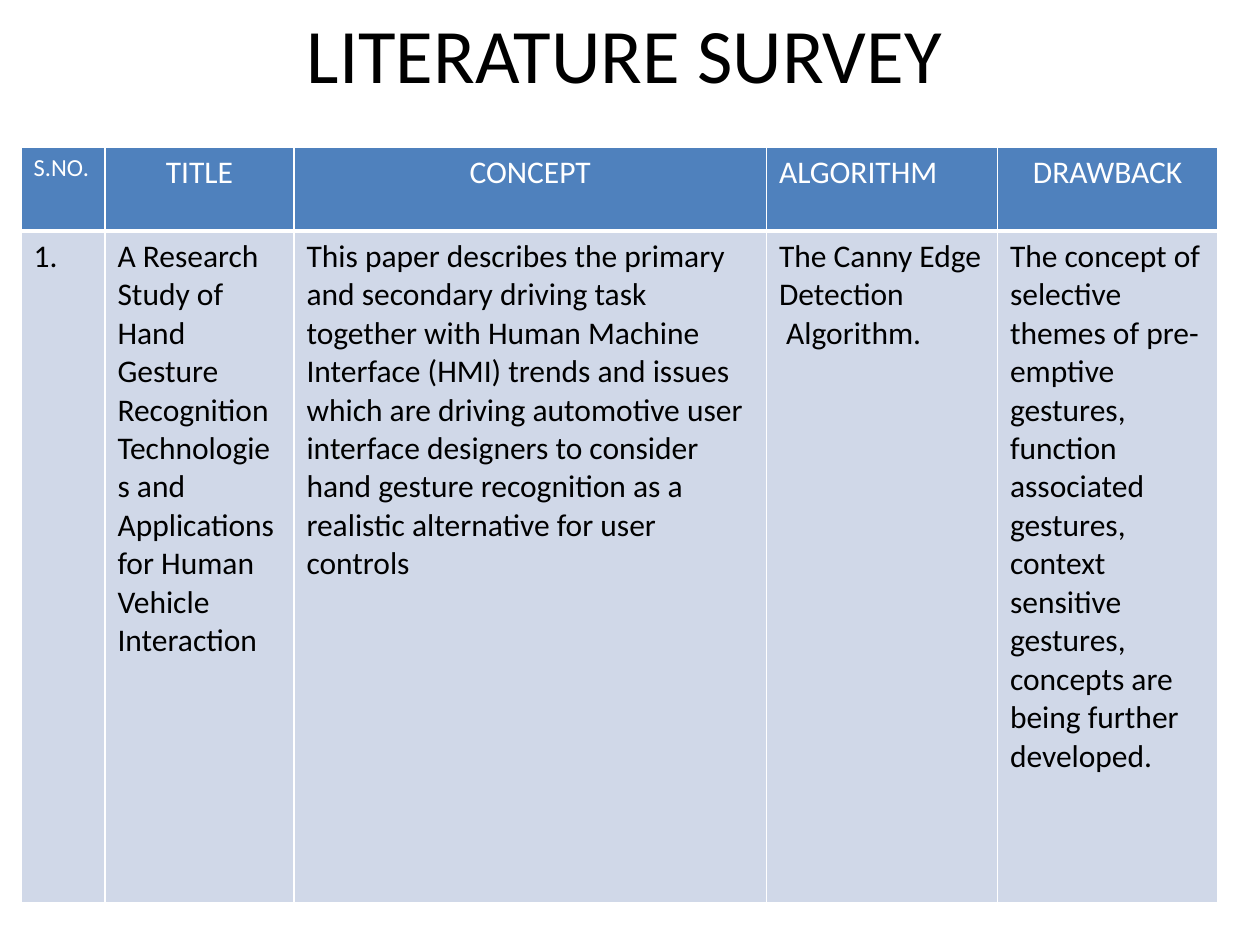
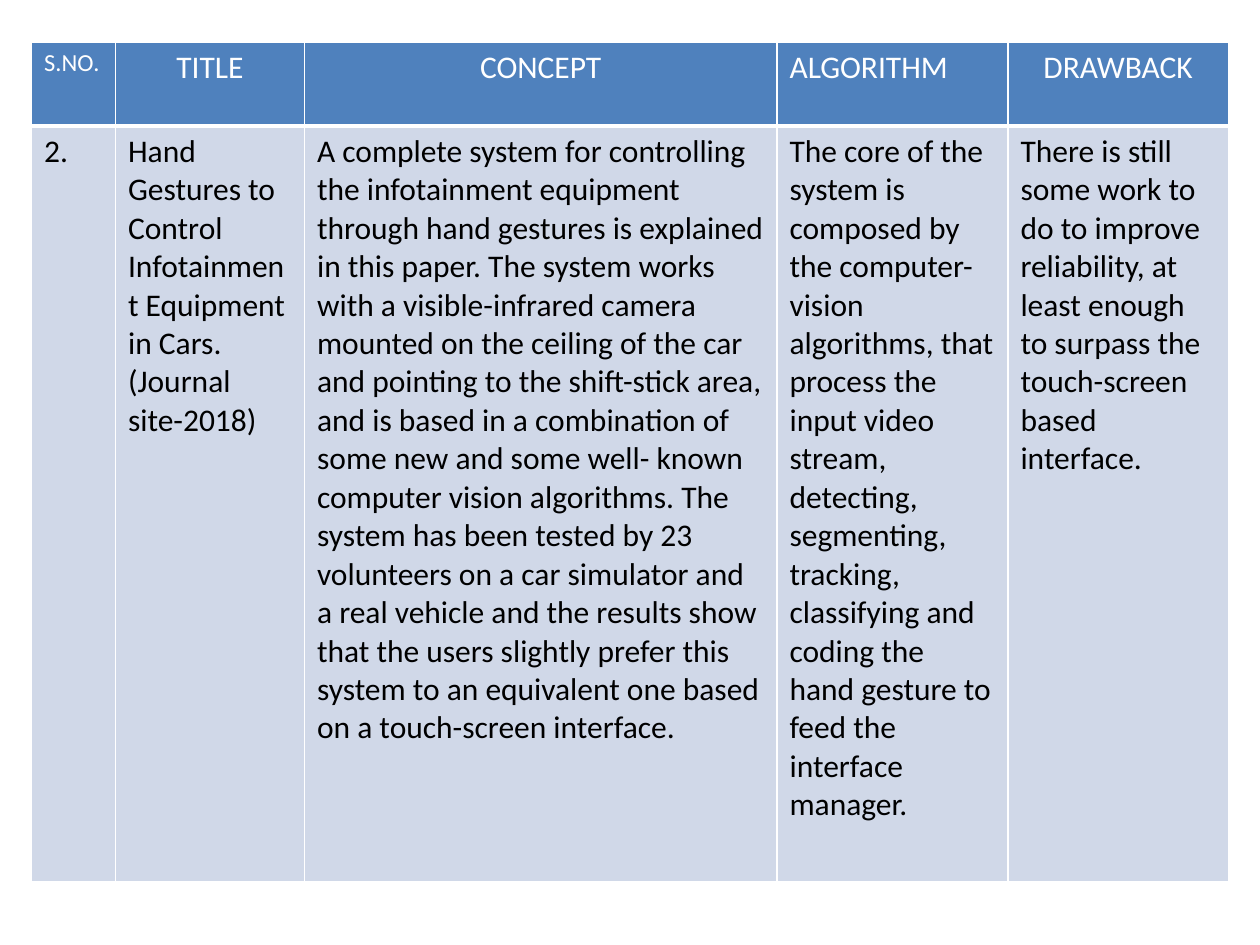
from lxml import etree
from pptx import Presentation
from pptx.dml.color import RGBColor
from pptx.enum.text import MSO_ANCHOR, MSO_AUTO_SIZE, PP_ALIGN
from pptx.oxml.ns import qn
from pptx.util import Inches, Pt

LEFT, CENTER = PP_ALIGN.LEFT, PP_ALIGN.CENTER
MIDDLE, GROW = MSO_ANCHOR.MIDDLE, MSO_AUTO_SIZE.SHAPE_TO_FIT_TEXT
TITLE_ONLY, BLANK = 5, 6
WHITE, BLACK, BLUE, PALE = "FFFFFF", "000000", "4F81BD", "D0D8E8"
COLUMNS = [("S.NO.", 8, 14, LEFT), ("TITLE", 18, 18, CENTER), ("CONCEPT", 45, 18, CENTER),
           ("ALGORITHM", 22, 18, LEFT), ("DRAWBACK", 21, 18, CENTER)]
HEADER_ROWS = 8

PAPER_1 = [
    "1.",
    "A Research Study of Hand Gesture Recognition Technologies and Applications "
    "for Human Vehicle Interaction",
    "This paper describes the primary and secondary driving task together with Human "
    "Machine Interface (HMI) trends and issues which are driving automotive user "
    "interface designers to consider hand gesture recognition as a realistic "
    "alternative for user controls",
    "The Canny Edge Detection\n Algorithm.",
    "The concept of selective themes of pre-emptive gestures, function associated "
    "gestures, context sensitive gestures, concepts are being further developed.",
]
PAPER_2 = [
    "2.",
    "Hand Gestures to Control Infotainment Equipment in Cars.\n(Journal site-2018)",
    "A complete system for controlling the infotainment equipment through hand gestures "
    "is explained in this paper. The system works with a visible-infrared camera mounted "
    "on the ceiling of the car and pointing to the shift-stick area, and is based in a "
    "combination of some new and some well- known computer vision algorithms. The system "
    "has been tested by 23 volunteers on a car simulator and a real vehicle and the "
    "results show that the users slightly prefer this system to an equivalent one based "
    "on a touch-screen interface.",
    "The core of the system is composed by the computer- vision algorithms, that process "
    "the input video stream, detecting, segmenting, tracking, classifying and coding the "
    "hand gesture to feed the interface manager.",
    "There is still some work to do to improve reliability, at least enough to surpass "
    "the touch-screen based interface.",
]


def rgb(value):
    """Turn a hex string into a colour."""
    return RGBColor.from_string(value)


def grid(units):
    """Turn grid units, twelve to the inch, into a length."""
    return Inches(units / 12)


class Deck:
    """Hold the shared style and the current slide."""

    font = "Calibri"

    def __init__(self):
        """Start an empty deck on a grid of 120 columns and 90 rows."""
        self.prs = Presentation()
        self.prs.slide_width, self.prs.slide_height = grid(120), grid(90)

    def slide(self, layout):
        """Add a slide and make it current."""
        self.s = self.prs.slides.add_slide(self.prs.slide_layouts[layout])

    def style(self, tf, size, color, align):
        """Format every paragraph of a text frame."""
        for p in tf.paragraphs:
            p.alignment = align
            p.font.name, p.font.size, p.font.bold = self.font, Pt(size), False
            p.font.color.rgb = rgb(color)

    def title(self, text, left, top, width, height):
        """Place and format the title placeholder."""
        sp = self.s.shapes.title
        sp.left, sp.top, sp.width, sp.height = map(grid, (left, top, width, height))
        tf = sp.text_frame
        tf.text = text
        tf.word_wrap, tf.auto_size, tf.vertical_anchor = True, GROW, MIDDLE
        self.style(tf, 44, BLACK, CENTER)

    def borders(self, cell, bottom):
        """Draw white borders round a cell, with its own bottom width."""
        tcPr = cell._tc.get_or_add_tcPr()
        for i, (side, width) in enumerate(zip("LRTB", (1, 1, 1, bottom))):
            ln = etree.Element(qn(f"a:ln{side}"), w=str(Pt(width)))
            fill = etree.SubElement(ln, qn("a:solidFill"))
            etree.SubElement(fill, qn("a:srgbClr"), val=WHITE)
            tcPr.insert(i, ln)

    def cell(self, cell, text, size, color, align, fill, bottom):
        """Fill, frame and write one table cell."""
        cell.text = text
        cell.fill.solid()
        cell.fill.fore_color.rgb = rgb(fill)
        self.style(cell.text_frame, size, color, align)
        self.borders(cell, bottom)

    def survey(self, paper, left, top, body_rows):
        """Add the survey table with its header and one paper."""
        widths = [width for _, width, _, _ in COLUMNS]
        heights = [HEADER_ROWS, body_rows]
        table = self.s.shapes.add_table(2, len(COLUMNS), grid(left), grid(top),
                                        grid(sum(widths)), grid(sum(heights))).table
        table.first_row = table.horz_banding = False
        for row, height in zip(table.rows, heights):
            row.height = grid(height)
        for i, (heading, width, size, align) in enumerate(COLUMNS):
            table.columns[i].width = grid(width)
            self.cell(table.cell(0, i), heading, size, WHITE, align, BLUE, 3)
            self.cell(table.cell(1, i), paper[i], 18, BLACK, LEFT, PALE, 1)


def main():
    """Build both survey slides and save the deck."""
    deck = Deck()
    deck.slide(TITLE_ONLY)
    deck.survey(PAPER_1, 2, 14, 64)
    deck.title("LITERATURE SURVEY", 17, 0, 85, 10)
    deck.slide(BLANK)
    deck.survey(PAPER_2, 3, 4, 72)
    deck.prs.save("out.pptx")


if __name__ == "__main__":
    main()
